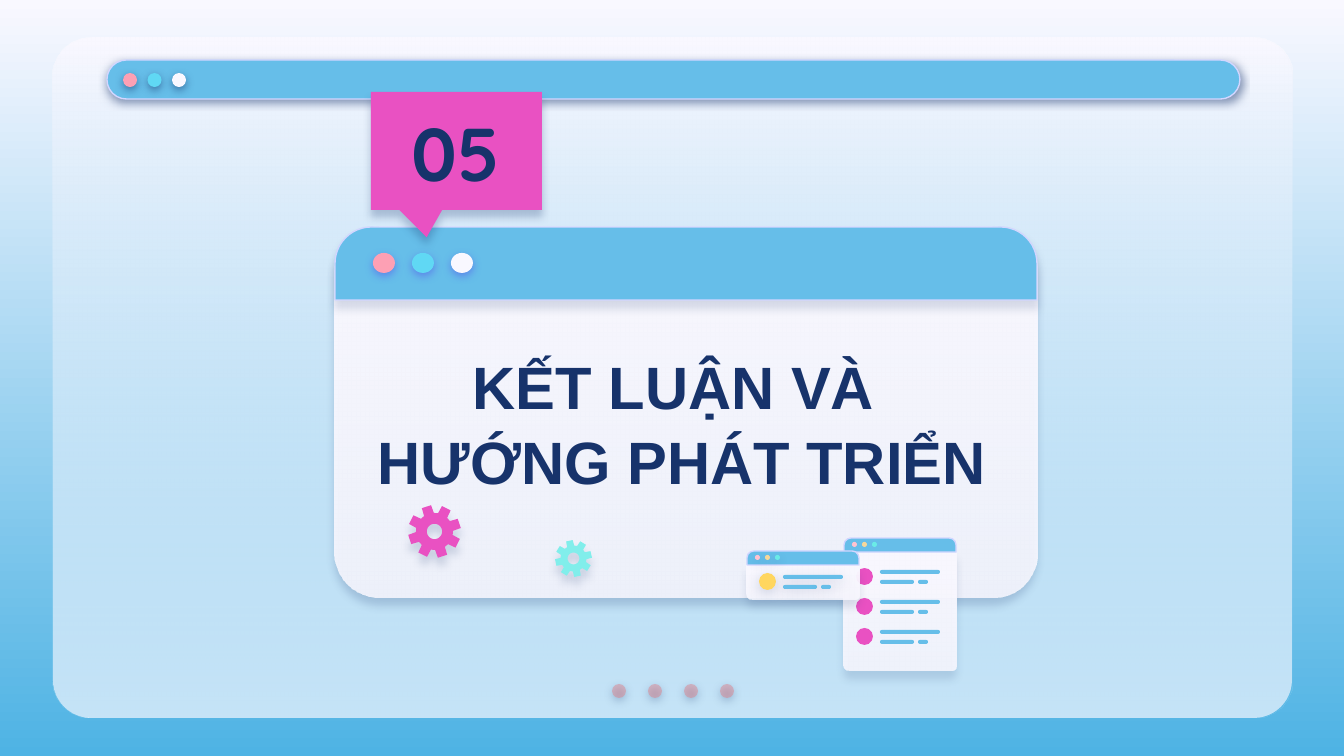
import math

import pptx
import pptx.dml.color
import pptx.enum.shapes
import pptx.enum.text
import pptx.oxml
import pptx.oxml.ns
import pptx.util

EMU_PER_PX = 9144000 / 1344
SHAPES = pptx.enum.shapes.MSO_SHAPE
SKY, PALE, NAVY, PINK, LILAC = "66BEE9", "F9F8FF", "17336B", "E951C2", "D2D6FF"
BUTTONS = ["FDA0B4", "60D8F4", PALE]
SMALL_BUTTONS = ["FFC3D0", "F5D79B", "6AEBE7"]
DOT_SHADOW = (NAVY, 50, 4.5, 1.5)
WINDOW_FILL = (PALE, PALE)


def px(length):
    """Turn px into EMU."""
    return pptx.util.Emu(round(length * EMU_PER_PX))


def colour(code):
    """Turn a hex string into a colour."""
    return pptx.dml.color.RGBColor.from_string(code)


def set_all(target, values):
    """Set every attribute named in a dict."""
    for name, value in values.items():
        setattr(target, name, value)


def fill_gradient(fill, codes):
    """Fill from top to bottom with two colours."""
    fill.gradient()
    fill.gradient_angle = 270
    for stop, code in zip(fill.gradient_stops, codes):
        stop.color.rgb = colour(code)


def add_shadow(shape, shadow):
    """Cast a shadow straight down, or none at all."""
    shape.shadow.inherit = False
    if shadow:
        code, alpha, blur, distance = shadow
        effects = shape.element.spPr.find(pptx.oxml.ns.qn("a:effectLst"))
        effects.append(pptx.oxml.parse_xml(
            f'<a:outerShdw {pptx.oxml.ns.nsdecls("a")} blurRad="{pptx.util.Pt(blur)}" '
            f'dist="{pptx.util.Pt(distance)}" dir="5400000" algn="bl" rotWithShape="0">'
            f'<a:srgbClr val="{code}"><a:alpha val="{alpha * 1000}"/></a:srgbClr>'
            f'</a:outerShdw>'))


def paint(shape, fill, alpha=100, line=None, shadow=None):
    """Set fill, opacity of its last colour, outline and shadow."""
    if isinstance(fill, tuple):
        fill_gradient(shape.fill, fill)
    else:
        shape.fill.solid()
        shape.fill.fore_color.rgb = colour(fill)
    if alpha < 100:
        last = list(shape.element.spPr.iter(pptx.oxml.ns.qn("a:srgbClr")))[-1]
        last.append(pptx.oxml.parse_xml(
            f'<a:alpha {pptx.oxml.ns.nsdecls("a")} val="{alpha * 1000}"/>'))
    if line:
        shape.line.color.rgb = colour(line)
        shape.line.width = pptx.util.Pt(0.75)
    else:
        shape.line.fill.background()
    add_shadow(shape, shadow)


def add_preset(page, kind, box, fill, adjust=(), **style):
    """Add a painted preset shape."""
    shape = page.shapes.add_shape(kind, *map(px, box))
    for index, value in enumerate(adjust):
        shape.adjustments[index] = value
    paint(shape, fill, **style)


def add_dots(page, box, width, fills, **style):
    """Spread dots evenly over a box."""
    left, top, total, height = box
    step = (total - width) / (len(fills) - 1)
    for index, fill in enumerate(fills):
        add_preset(page, SHAPES.OVAL, (left + index * step, top, width, height), fill, **style)


def add_text(page, box, lines, font_values):
    """Add centred text in the middle of a box."""
    frame = page.shapes.add_textbox(*map(px, box)).text_frame
    inset = pptx.util.Inches(0.1)
    set_all(frame, {"word_wrap": True, "vertical_anchor": pptx.enum.text.MSO_ANCHOR.MIDDLE,
                    "margin_left": inset, "margin_right": inset,
                    "margin_top": inset, "margin_bottom": inset})
    para = frame.paragraphs[0]
    set_all(para, {"alignment": pptx.enum.text.PP_ALIGN.CENTER,
                   "line_spacing": 1.05 if len(lines) > 1 else 1.0})
    for index, line in enumerate(lines):
        if index:
            para.add_line_break()
        span = para.add_run()
        span.text = line
        set_all(span.font, {"bold": True, **font_values})
        span.font.color.rgb = colour(NAVY)


def add_backdrop(page, box):
    """Add the page panel, its top bar and its dots."""
    left, top, width, height = box
    fill_gradient(page.background.fill, (PALE, "4EB3E4"))
    for fill, alpha in ((PALE, 100), ((PALE, SKY), 35)):
        add_preset(page, SHAPES.ROUNDED_RECTANGLE, box, fill, [0.056], alpha=alpha)
    add_dots(page, (left + 559, top + 646, 122, 14), 14, ["E27B83"] * 4,
             alpha=44, shadow=DOT_SHADOW)
    add_preset(page, SHAPES.ROUNDED_RECTANGLE, (left + 54, top + 22, width - 106, 39), SKY,
               [0.5], line=LILAC, shadow=DOT_SHADOW)
    add_dots(page, (left + 70, top + 35, 63, 14), 14, BUTTONS, shadow=DOT_SHADOW)


def add_main_window(page, box):
    """Add the large window with the section title."""
    left, top, width, height = box
    add_preset(page, SHAPES.ROUNDED_RECTANGLE, box, WINDOW_FILL, [0.124],
               alpha=87, shadow=(NAVY, 22, 4.5, 3.8))
    add_preset(page, SHAPES.ROUND_2_SAME_RECTANGLE, (left, top, width, 73), SKY, [0.5, 0],
               line=LILAC, shadow=(NAVY, 15, 4.5, 3.8))
    add_dots(page, (left + 38, top + 26, 100, 20), 22, BUTTONS,
             shadow=("5352EE", 50, 4.5, 1.5))
    add_text(page, (left - 4, top + 76, width, 237), ["KẾT LUẬN VÀ ", "HƯỚNG PHÁT TRIỂN"],
             {"name": "Arial", "size": pptx.util.Pt(32)})


def add_small_window(page, box, bullet, first, count, dot_shadow=None, entry_shadow=None):
    """Add a small window with a list of bulleted bars."""
    left, top, width, height = box
    body = height - 14
    add_preset(page, SHAPES.ROUND_2_SAME_RECTANGLE, (left, top + 14, width, body), WINDOW_FILL,
               [0, 6.5 / min(width, body)], alpha=87, shadow=(NAVY, 15, 4.5, 4.5))
    add_preset(page, SHAPES.ROUND_2_SAME_RECTANGLE, (left, top, width, 14), SKY, [0.48, 0],
               line=LILAC)
    add_dots(page, (left + 8, top + 4, 25, 5), 5, SMALL_BUTTONS, shadow=dot_shadow)
    for index in range(count):
        row = top + first + index * 30
        add_preset(page, SHAPES.OVAL, (left + 12, row, 17, 17), bullet, shadow=entry_shadow)
        for across, down, length in ((36, 2, 60), (36, 12, 34), (74, 12, 10)):
            add_preset(page, SHAPES.ROUNDED_RECTANGLE, (left + across, row + down, length, 4),
                       SKY, [0.5], shadow=entry_shadow)


def add_gear(page, box, fill, turn, hole):
    """Add an eight-toothed gear with a round hole."""
    left, top, width, height = box

    def spot(angle, radius):
        """Give a point at an angle and a share of the outer radius."""
        angle = math.radians(angle)
        return (px(left + width / 2 * (1 + radius * math.cos(angle))),
                px(top + height / 2 * (1 + radius * math.sin(angle))))

    corners = ((-16, 0.7), (-10.5, 1), (10.5, 1), (16, 0.7))
    rim = [spot(turn + tooth * 45 + angle, radius)
           for tooth in range(8) for angle, radius in corners]
    bore = [spot(-angle, hole) for angle in range(0, 360, 10)]
    builder = page.shapes.build_freeform(*rim[0], scale=1.0)
    builder.add_line_segments(rim[1:], close=True)
    builder.move_to(*bore[0])
    builder.add_line_segments(bore[1:], close=True)
    paint(builder.convert_to_shape(), fill, shadow=(NAVY, 16, 4.5, 4.5))


def add_number(page, box):
    """Add the callout with the section number."""
    left, top, width, height = box
    add_preset(page, SHAPES.ROUNDED_RECTANGULAR_CALLOUT, box, PINK, [-0.174, 0.731, 0],
               shadow=(NAVY, 25, 4.5, 3.8))
    add_text(page, (left + 21, top + 5, width - 43, height - 8), ["05"],
             {"name": "Quicksand", "size": pptx.util.Pt(40)})


def main():
    """Build and save the section slide."""
    deck = pptx.Presentation()
    set_all(deck, {"slide_width": px(1344), "slide_height": px(756)})
    page = deck.slides.add_slide(deck.slide_layouts[6])
    add_backdrop(page, (53, 38, 1239, 680))
    add_main_window(page, (335, 227, 702, 371))
    add_small_window(page, (844, 538, 112, 133), PINK, 30, 3)
    add_small_window(page, (747, 551, 112, 48), "FFD65F", 22, 1,
                     (NAVY, 17, 4.5, 2.2), (NAVY, 18, 6.8, 1.5))
    add_gear(page, (408, 505, 53, 53), PINK, -108, 0.29)
    add_gear(page, (555, 540, 37, 37), "81EEEB", -103, 0.32)
    add_number(page, (371, 92, 171, 118))
    deck.save("out.pptx")


if __name__ == "__main__":
    main()
